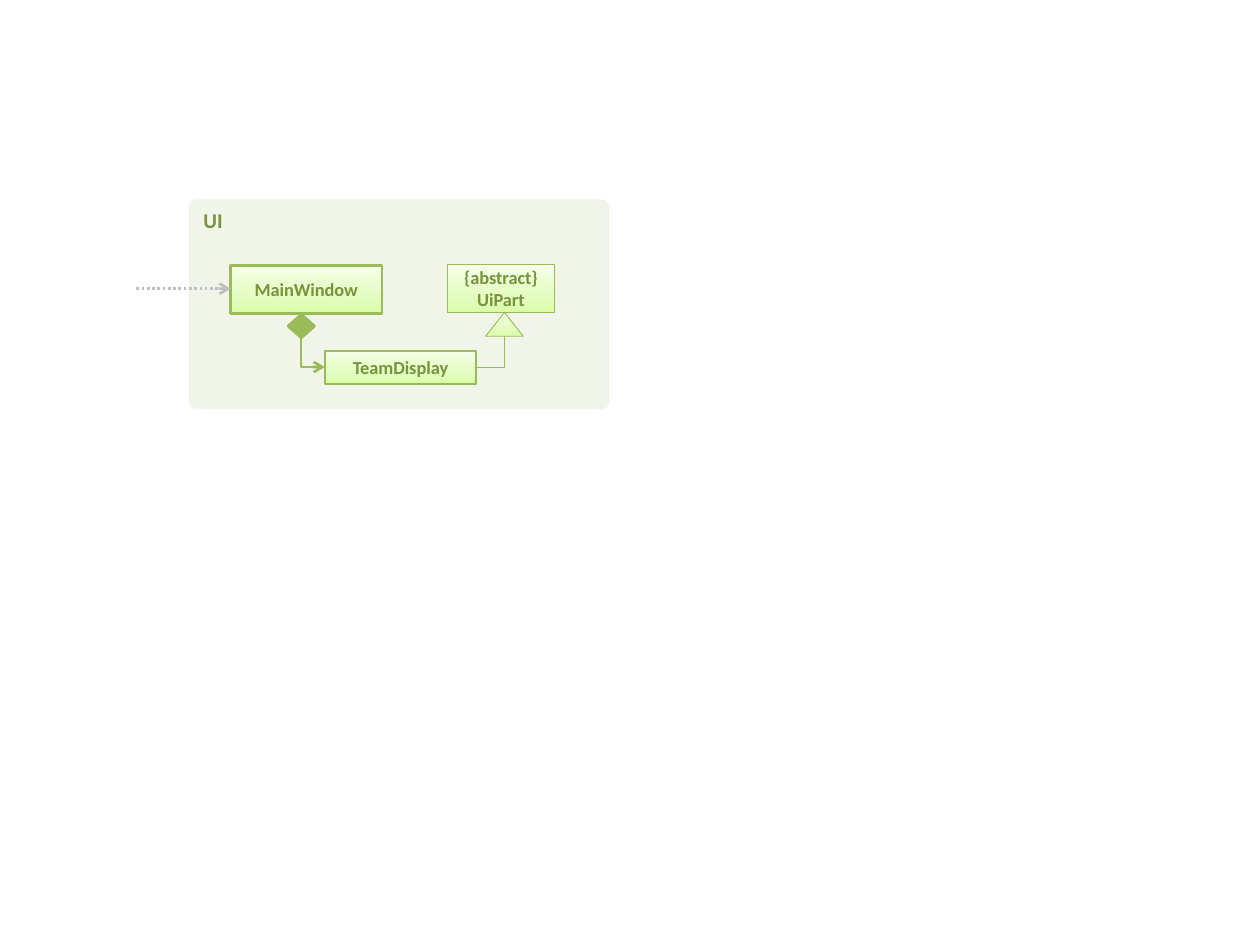
from copy import deepcopy

from pptx import Presentation
from pptx.dml.color import RGBColor
from pptx.enum import dml, shapes, text
from pptx.oxml.ns import qn
from pptx.oxml.xmlchemy import OxmlElement
from pptx.util import Cm, Pt

GREEN, DARK_GREEN, GREY, PANEL = "9BBB59", "77933C", "BFBFBF", "F1F5E9"
GRADIENT = [(0, "DAFDA7"), (0.35, "E4FCC2"), (1, "F5FFE7")]
THIN, THICK = 0.5, 1.5


def colour(value):
    return RGBColor.from_string(value)


def set_gradient(shape):
    """Fill from a stronger green at the bottom to a pale one at the top."""
    shape.fill.gradient()
    shape.fill.gradient_angle = 90
    stop_list = shape._element.spPr.find(".//" + qn("a:gsLst"))
    stop_list.append(deepcopy(stop_list[0]))
    for stop, (position, value) in zip(shape.fill.gradient_stops, GRADIENT):
        stop.position = position
        stop.color.rgb = colour(value)


def add_block(page, kind, place, fill=None, line_width=None):
    """Add a preset shape; without a fill colour it gets the gradient."""
    shape = page.shapes.add_shape(kind, *(Cm(value) for value in place))
    shape.shadow.inherit = False
    if fill:
        shape.fill.solid()
        shape.fill.fore_color.rgb = colour(fill)
    else:
        set_gradient(shape)
    if line_width:
        shape.line.color.rgb = colour(GREEN)
        shape.line.width = Pt(line_width)
    else:
        shape.line.fill.background()
    return shape


def set_label(shape, label, size, align, anchor):
    frame = shape.text_frame
    frame.word_wrap = True
    frame.vertical_anchor = anchor
    para = frame.paragraphs[0]
    para.text = label
    para.alignment = align
    for span in para.runs:
        span.font.name = "Calibri"
        span.font.size = Pt(size)
        span.font.bold = True
        span.font.color.rgb = colour(DARK_GREEN)


def add_class(page, label, place, line_width):
    box = add_block(page, shapes.MSO_SHAPE.RECTANGLE, place, line_width=line_width)
    set_label(box, label, 10.5, text.PP_ALIGN.CENTER, text.MSO_ANCHOR.MIDDLE)


def add_link(page, kind, start, end, value, width, arrow=False):
    link = page.shapes.add_connector(kind, *(Cm(v) for v in (*start, *end)))
    link.line.color.rgb = colour(value)
    link.line.width = Pt(width)
    if arrow:
        tail = OxmlElement("a:tailEnd")
        tail.set("type", "arrow")
        link.line._get_or_add_ln().append(tail)
    link._element.spPr.append(OxmlElement("a:effectLst"))
    return link


def add_corner(page, start, end, width, arrow=False):
    """Run straight down from start, then sideways to end."""
    middle_x, middle_y = (start[0] + end[0]) / 2, (start[1] + end[1]) / 2
    half_drop, half_run = (end[1] - start[1]) / 2, abs(end[0] - start[0]) / 2
    link = add_link(page, shapes.MSO_CONNECTOR.ELBOW,
                    (middle_x - half_drop, middle_y - half_run),
                    (middle_x + half_drop, middle_y + half_run),
                    GREEN, width, arrow)
    properties = link._element.spPr
    properties.find(qn("a:prstGeom")).set("prst", "bentConnector2")
    frame = properties.find(qn("a:xfrm"))
    if end[0] > start[0]:
        frame.set("rot", str(270 * 60000))
        frame.set("flipH", "1")
    else:
        frame.set("rot", str(90 * 60000))


def main():
    deck = Presentation()
    deck.slide_width, deck.slide_height = Cm(25.4), Cm(19.05)
    page = deck.slides.add_slide(deck.slide_layouts[6])

    # Component panel
    panel = add_block(page, shapes.MSO_SHAPE.ROUNDED_RECTANGLE,
                      (3.81, 4.02, 8.47, 4.23), PANEL)
    panel.adjustments[0] = 0.035
    set_label(panel, "UI", 12, text.PP_ALIGN.LEFT, text.MSO_ANCHOR.TOP)

    # Concrete classes
    add_class(page, "MainWindow", (4.65, 5.35, 3.05, 0.97), THICK)
    add_class(page, "TeamDisplay", (6.55, 7.08, 3.05, 0.66), THICK)

    # Composition
    add_block(page, shapes.MSO_SHAPE.FLOWCHART_DECISION,
              (5.82, 6.35, 0.51, 0.45), GREEN, 2)
    add_corner(page, (6.07, 6.8), (6.55, 7.4), THICK, arrow=True)

    # Call from outside
    call = add_link(page, shapes.MSO_CONNECTOR.STRAIGHT, (2.75, 5.82),
                    (4.65, 5.82), GREY, THICK, arrow=True)
    call.line.dash_style = dml.MSO_LINE.ROUND_DOT

    # Inheritance
    add_block(page, shapes.MSO_SHAPE.ISOSCELES_TRIANGLE,
              (9.79, 6.3, 0.76, 0.48), line_width=THIN)
    add_class(page, "{abstract}\nUiPart", (9.02, 5.33, 2.16, 0.97), THIN)
    add_corner(page, (10.17, 6.78), (9.6, 7.4), THIN)

    deck.save("out.pptx")


if __name__ == "__main__":
    main()
